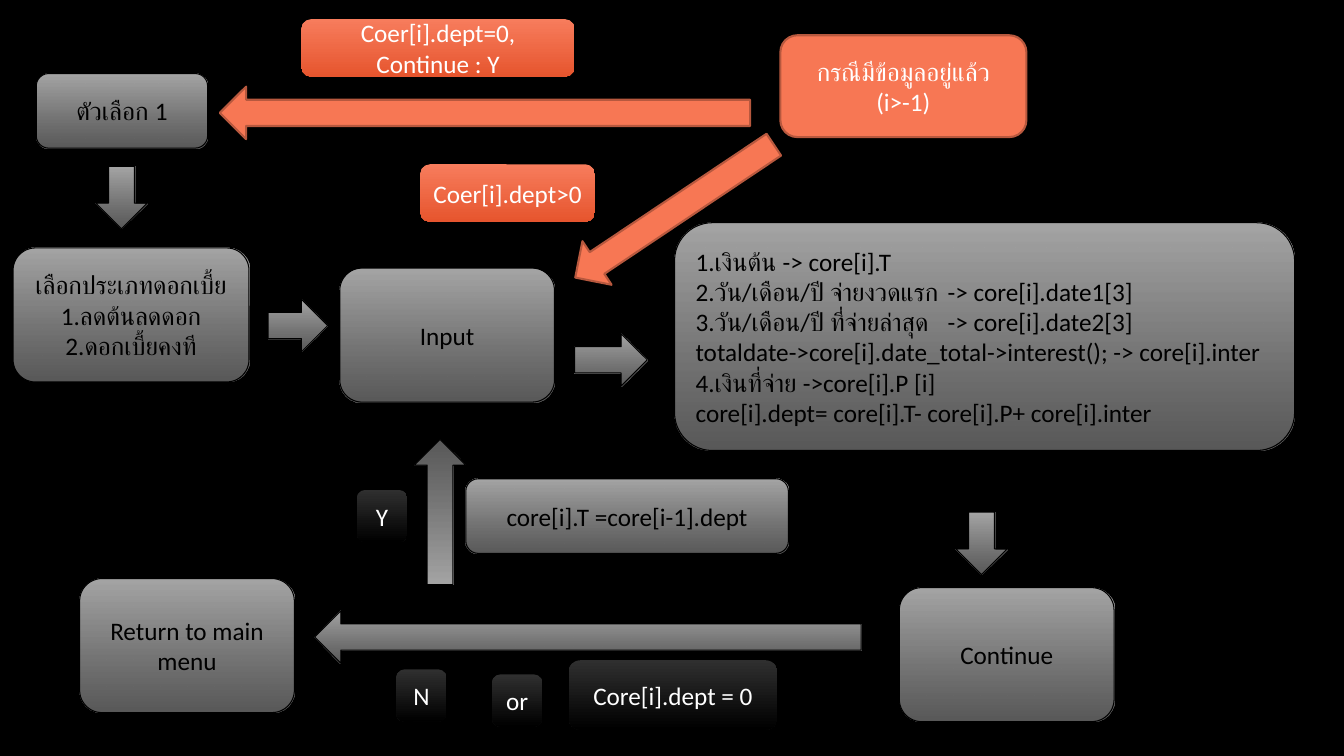
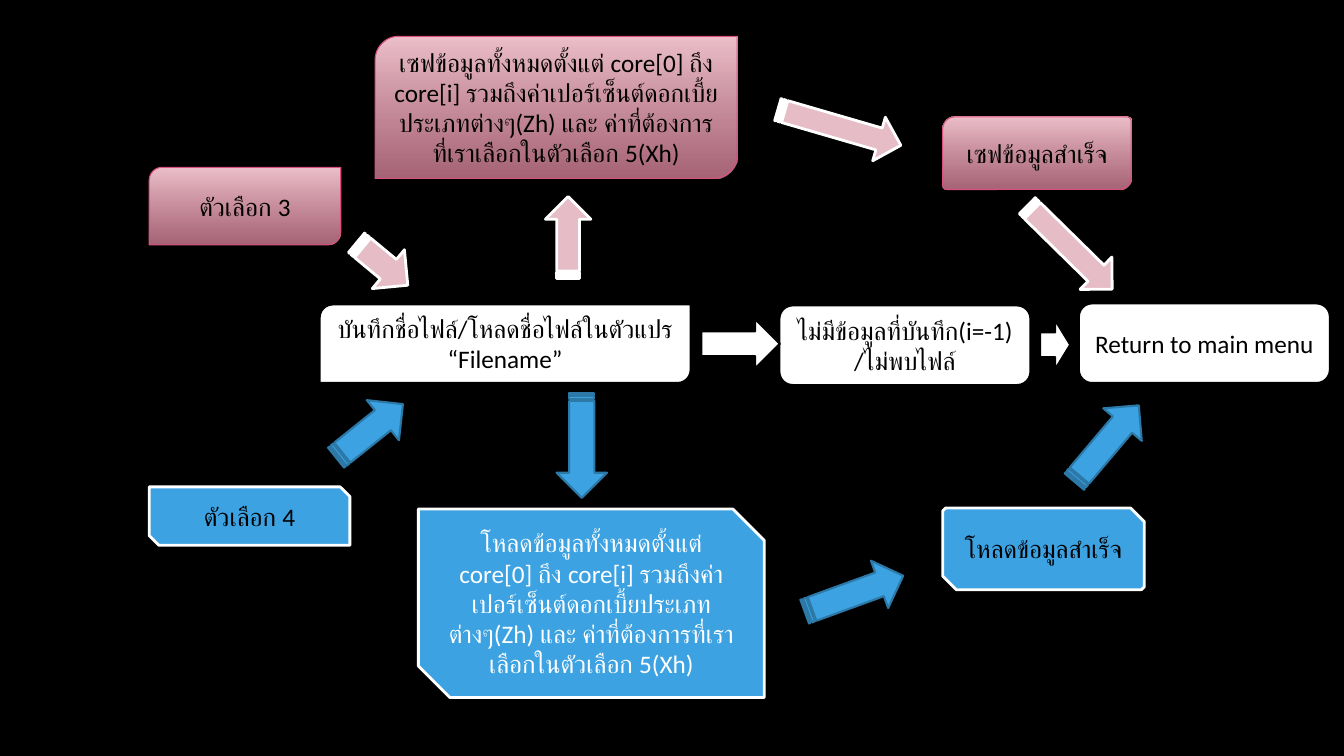
from collections import namedtuple
from pptx import Presentation
from pptx.dml.color import RGBColor
from pptx.enum import shapes, text
from pptx.oxml import ns
from pptx.util import Inches, Pt
from lxml import etree

BLACK = RGBColor(0x00, 0x00, 0x00)
WHITE = RGBColor(0xFF, 0xFF, 0xFF)
COAL = RGBColor(0x2F, 0x2F, 0x2F)
SILVER = RGBColor(0xA6, 0xA6, 0xA6)
GREY = RGBColor(0x79, 0x79, 0x79)
ORANGE = RGBColor(0xF7, 0x77, 0x54)
RUST = RGBColor(0xB7, 0x58, 0x3E)
CORAL = RGBColor(0xF7, 0x7C, 0x5C)
FLAME = RGBColor(0xE6, 0x55, 0x2E)
BLUSH = RGBColor(0xED, 0xC0, 0xCB)
ROSE = RGBColor(0xE0, 0x88, 0xA0)
PINK = RGBColor(0xE6, 0xBC, 0xC6)
CERISE = RGBColor(0xD8, 0x50, 0x7E)
BLUE = RGBColor(0x3C, 0xA2, 0xE2)
NAVY = RGBColor(0x2C, 0x78, 0xA7)

Look = namedtuple("Look", "fill end alpha line width ink")
STEP = Look(SILVER, GREY, 74, BLACK, 0.75, BLACK)
LABEL = Look(COAL, BLACK, 100, None, 0, WHITE)
ALERT = Look(ORANGE, None, 100, RUST, 1.5, WHITE)
NOTE = Look(CORAL, FLAME, 100, None, 0, WHITE)
SAVE = Look(BLUSH, ROSE, 74, CERISE, 0.75, BLACK)
PLAIN = Look(WHITE, None, 100, BLACK, 1.5, BLACK)
LOAD = Look(BLUE, None, 100, WHITE, 2, BLACK)
DETAIL = LOAD._replace(ink=WHITE)
PINKWAY = Look(PINK, None, 100, WHITE, 2, BLACK)
BLUEWAY = Look(BLUE, None, 100, NAVY, 1.5, BLACK)

KIND = shapes.MSO_SHAPE
ROUND = KIND.ROUNDED_RECTANGLE
CURVE = KIND.ROUND_2_DIAG_RECTANGLE
SNIP = KIND.SNIP_2_DIAG_RECTANGLE
DOWN = KIND.DOWN_ARROW
RIGHT = KIND.RIGHT_ARROW
STRIPE = KIND.STRIPED_RIGHT_ARROW


class Deck:
    font = "Calibri"
    size = Pt(18)

    def __init__(self):
        self.prs = Presentation()
        self.prs.slide_width = Inches(13.33)
        self.prs.slide_height = Inches(7.5)
        ground = self.prs.slide_master.background.fill
        ground.solid()
        ground.fore_color.rgb = BLACK

    def page(self):
        self.slide = self.prs.slides.add_slide(self.prs.slide_layouts[6])

    def shape(self, kind, place, look):
        item = self.slide.shapes.add_shape(kind, *map(Inches, place))
        item.shadow.inherit = False
        if look.end is None:
            item.fill.solid()
            item.fill.fore_color.rgb = look.fill
        else:
            self.blend(item, look)
        if look.line is None:
            item.line.fill.background()
        else:
            item.line.color.rgb = look.line
            item.line.width = Pt(look.width)
        return item

    def blend(self, item, look):
        item.fill.gradient()
        item.fill.gradient_angle = 270
        first, last = item.fill.gradient_stops
        first.color.rgb = look.fill
        last.color.rgb = look.end
        if look.alpha < 100:
            tint = item._element.spPr.findall(".//" + ns.qn("a:srgbClr"))[-1]
            etree.SubElement(tint, ns.qn("a:alpha")).set("val", str(look.alpha * 1000))

    def box(self, place, look, *lines, kind=ROUND, adjust=(), align=text.PP_ALIGN.CENTER, tab=None):
        item = self.shape(kind, place, look)
        for index, value in enumerate(adjust):
            item.adjustments[index] = value
        frame = item.text_frame
        frame.word_wrap = True
        frame.vertical_anchor = text.MSO_ANCHOR.MIDDLE
        for index, line in enumerate(lines):
            para = frame.add_paragraph() if index else frame.paragraphs[0]
            para.alignment = align
            if tab:
                stops = etree.SubElement(para._p.get_or_add_pPr(), ns.qn("a:tabLst"))
                stop = etree.SubElement(stops, ns.qn("a:tab"))
                stop.set("pos", str(Inches(tab)))
                stop.set("algn", "l")
            run = para.add_run()
            run.text = line
            run.font.name = self.font
            run.font.size = self.size
            run.font.color.rgb = look.ink

    def arrow(self, kind, place, look, turn=0, flip=None):
        item = self.shape(kind, place, look)
        item.rotation = turn
        if flip:
            item._element.spPr.find(ns.qn("a:xfrm")).set(flip, "1")


deck = Deck()

deck.page()
deck.box((0.36, 0.73, 1.7, 0.74), STEP, "ตัวเลือก 1")
deck.box((0.13, 2.46, 2.34, 1.33), STEP,
         "เลือกประเภทดอกเบี้ย", "1.ลดต้นลดดอก", "2.ดอกเบี้ยคงที")
deck.box((6.69, 2.21, 6.15, 2.26), STEP,
         "1.เงินต้น -> core[i].T",
         "2.วัน/เดือน/ปี จ่ายงวดแรก\t-> core[i].date1[3]",
         "3.วัน/เดือน/ปี ที่จ่ายล่าสุด\t-> core[i].date2[3]",
         "totaldate->core[i].date_total->interest(); -> core[i].inter",
         "4.เงินที่จ่าย ->core[i].P [i]",
         "core[i].dept= core[i].T- core[i].P+ core[i].inter",
         align=text.PP_ALIGN.LEFT, tab=2.5)
for left, top, name in ((3.37, 2.66, "Input"), (8.92, 5.83, "Continue"),
                        (0.79, 5.74, "Return to main menu")):
    deck.box((left, top, 2.13, 1.33), STEP, name)
for left, top in ((0.95, 1.65), (9.48, 5.08)):
    deck.arrow(DOWN, (left, top, 0.51, 0.62), STEP)
deck.arrow(RIGHT, (2.66, 2.97, 0.59, 0.52), STEP)
deck.arrow(RIGHT, (5.7, 3.31, 0.72, 0.52), STEP)
deck.arrow(RIGHT, (3.12, 6.06, 5.42, 0.52), STEP, flip="flipH")
deck.arrow(DOWN, (4.11, 4.36, 0.51, 1.44), STEP, flip="flipV")
for left, top, name in ((3.54, 4.86, "Y"), (3.93, 6.64, "N"), (4.88, 6.69, "or")):
    deck.box((left, top, 0.5, 0.52), LABEL, name)
deck.box((5.64, 6.55, 2.07, 0.69), LABEL, "Core[i].dept = 0")
deck.box((7.74, 0.35, 2.44, 1.01), ALERT, "กรณีมีข้อมูลอยู่แล้ว", "(i>-1)")
deck.arrow(DOWN, (6.43, 0.91, 0.52, 2.37), ALERT, turn=56.2)
deck.arrow(DOWN, (4.55, -1.51, 0.52, 5.26), ALERT, turn=90)
deck.box((4.17, 1.63, 1.73, 0.57), NOTE, "Coer[i].dept>0")
deck.box((2.99, 0.19, 2.71, 0.57), NOTE, "Coer[i].dept=0, Continue : Y")
deck.box((4.62, 4.75, 3.2, 0.74), STEP, "core[i].T =core[i-1].dept")

deck.page()
scope = ("ข้อมูลทั้งหมดตั้งแต่ core[0] ถึง core[i] รวมถึงค่าเปอร์เซ็นต์ดอกเบี้ยประเภทต่างๆ(Zh) "
         "และ ค่าที่ต้องการที่เราเลือกในตัวเลือก 5(Xh)")
deck.box((1.48, 1.66, 1.9, 0.77), SAVE, "ตัวเลือก 3", kind=CURVE)
deck.box((3.72, 0.36, 3.59, 1.41), SAVE, "เซฟ" + scope, kind=CURVE)
deck.box((9.35, 1.16, 1.87, 0.72), SAVE, "เซฟข้อมูลสำเร็จ", kind=CURVE, adjust=(0.167, 0.059))
deck.box((3.17, 3.02, 3.68, 0.78), PLAIN,
         "บันทึกชื่อไฟล์/โหลดชื่อไฟล์ในตัวแปร", "“Filename”", kind=CURVE)
deck.box((7.73, 3.03, 2.49, 0.79), PLAIN, "ไม่มีข้อมูลที่บันทึก(i=-1)", "/ไม่พบไฟล์")
deck.box((10.7, 3.01, 2.49, 0.79), PLAIN, "Return to main menu")
deck.box((1.48, 4.83, 1.99, 0.58), LOAD, "ตัวเลือก 4", kind=SNIP)
deck.box((4.15, 5.05, 3.43, 1.87), DETAIL, "โหลด" + scope, kind=SNIP)
deck.box((9.35, 5.04, 2, 0.81), LOAD, "โหลดข้อมูลสำเร็จ", kind=SNIP, adjust=(0.035, 0.167))
for place, turn in (((3.46, 2.37, 0.66, 0.5), 39.6), ((5.23, 2.13, 0.81, 0.45), 270),
                    ((7.69, 1.04, 1.27, 0.45), 16.2), ((10.02, 2.23, 1.18, 0.45), 44.5)):
    deck.arrow(STRIPE, place, PINKWAY, turn)
for place, turn in (((3.24, 4.02, 0.85, 0.51), 321.3), ((5.25, 4.17, 1.04, 0.5), 90),
                    ((7.95, 5.64, 1.04, 0.5), 340), ((10.48, 4.15, 0.99, 0.5), 310.2)):
    deck.arrow(STRIPE, place, BLUEWAY, turn)
for place in ((7.1, 3.02, 0.49, 0.78), (10.22, 3.27, 0.49, 0.3)):
    deck.arrow(DOWN, place, PLAIN, turn=270)

deck.prs.save("out.pptx")
